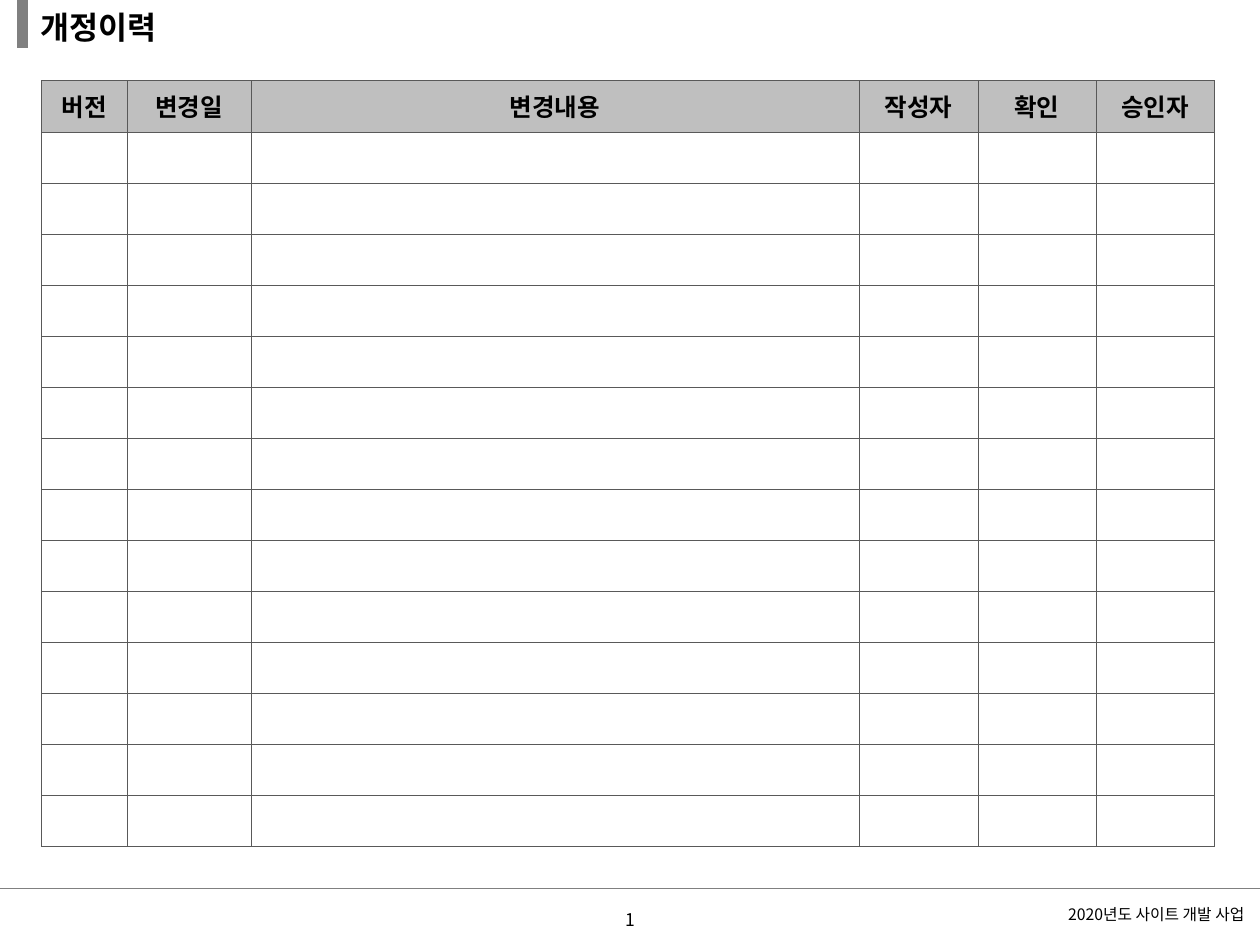
from dataclasses import dataclass

from lxml import etree
from pptx import Presentation
from pptx import util as u
from pptx.dml.color import RGBColor
from pptx.enum import shapes, text
from pptx.oxml import ns


@dataclass(frozen=True)
class Theme:
    font: str = "Noto Sans CJK KR"
    ink: str = "000000"
    rule: str = "808080"
    border: str = "595959"
    header: str = "BFBFBF"
    title_size: float = 18
    header_size: float = 14
    number_size: float = 10
    footer_size: float = 9


THEME = Theme()
WIDTH, HEIGHT = 10, 7.5
HEADINGS = ["버전", "변경일", "변경내용", "작성자", "확인", "승인자"]
COLUMNS = [0.68, 0.98, 4.83, 0.94, 0.94, 0.94]
ROW_COUNT, TABLE_HEIGHT = 15, 6.08


def add_span(para, words, size, bold=False):
    span = para.add_run()
    span.text = words
    span.font.name = THEME.font
    span.font.size = u.Pt(size)
    span.font.bold = bold
    span.font.color.rgb = RGBColor.from_string(THEME.ink)
    east_asian = etree.SubElement(span.font._element, ns.qn("a:ea"))
    east_asian.set("typeface", THEME.font)


def add_rule(page, start, end, weight):
    line = page.shapes.add_connector(
        shapes.MSO_CONNECTOR.STRAIGHT, *(u.Inches(v) for v in (*start, *end)))
    line.line.color.rgb = RGBColor.from_string(THEME.rule)
    line.line.width = u.Pt(weight)
    etree.SubElement(line._element.spPr, ns.qn("a:effectLst"))


def add_footer_text(page, top, words, size, align):
    box = page.shapes.add_textbox(0, u.Inches(top), u.Inches(WIDTH), u.Inches(0.4))
    frame = box.text_frame
    frame.word_wrap = True
    frame.vertical_anchor = text.MSO_ANCHOR.MIDDLE
    para = frame.paragraphs[0]
    para.alignment = align
    add_span(para, words, size)


def set_title(page, words):
    title = page.shapes.title
    title.left, title.top = u.Inches(0.22), 0
    title.width, title.height = u.Inches(2.97), u.Inches(0.42)
    frame = title.text_frame
    frame.word_wrap = True
    frame.auto_size = text.MSO_AUTO_SIZE.NONE
    frame.vertical_anchor = text.MSO_ANCHOR.MIDDLE
    para = frame.paragraphs[0]
    para.alignment = text.PP_ALIGN.LEFT
    add_span(para, words, THEME.title_size, bold=True)


def set_borders(cell):
    props = cell._tc.get_or_add_tcPr()
    for index, side in enumerate(("lnL", "lnR", "lnT", "lnB")):
        line = etree.Element(ns.qn(f"a:{side}"), w=str(u.Pt(0.25)))
        fill = etree.SubElement(line, ns.qn("a:solidFill"))
        etree.SubElement(fill, ns.qn("a:srgbClr"), val=THEME.border)
        props.insert(index, line)


def add_history_table(page):
    table = page.shapes.add_table(
        ROW_COUNT, len(COLUMNS), u.Inches(0.33), u.Inches(0.64),
        u.Inches(sum(COLUMNS)), u.Inches(TABLE_HEIGHT)).table
    table.horz_banding = False
    for column, width in zip(table.columns, COLUMNS):
        column.width = u.Inches(width)
    for cell in table.iter_cells():
        # Slim margins keep the empty rows at their set height
        cell.margin_top = cell.margin_bottom = 0
        cell.vertical_anchor = text.MSO_ANCHOR.MIDDLE
        cell.fill.background()
        set_borders(cell)
    for cell, heading in zip(table.rows[0].cells, HEADINGS):
        cell.fill.solid()
        cell.fill.fore_color.rgb = RGBColor.from_string(THEME.header)
        para = cell.text_frame.paragraphs[0]
        para.alignment = text.PP_ALIGN.CENTER
        add_span(para, heading, THEME.header_size, bold=True)


def main():
    deck = Presentation()
    deck.slide_width, deck.slide_height = u.Inches(WIDTH), u.Inches(HEIGHT)
    page = deck.slides.add_slide(deck.slide_layouts[5])

    # Frame: footer rule and title bar
    add_rule(page, (0, 7.05), (WIDTH, 7.05), 0.75)
    add_rule(page, (0.18, -0.02), (0.18, 0.38), 6)

    # Footer
    add_footer_text(page, 7.06, "2020년도 사이트 개발 사업 ",
                    THEME.footer_size, text.PP_ALIGN.RIGHT)
    add_footer_text(page, 7.1, "1", THEME.number_size, text.PP_ALIGN.CENTER)

    # Revision history
    add_history_table(page)
    set_title(page, "개정이력")

    deck.save("out.pptx")


main()
